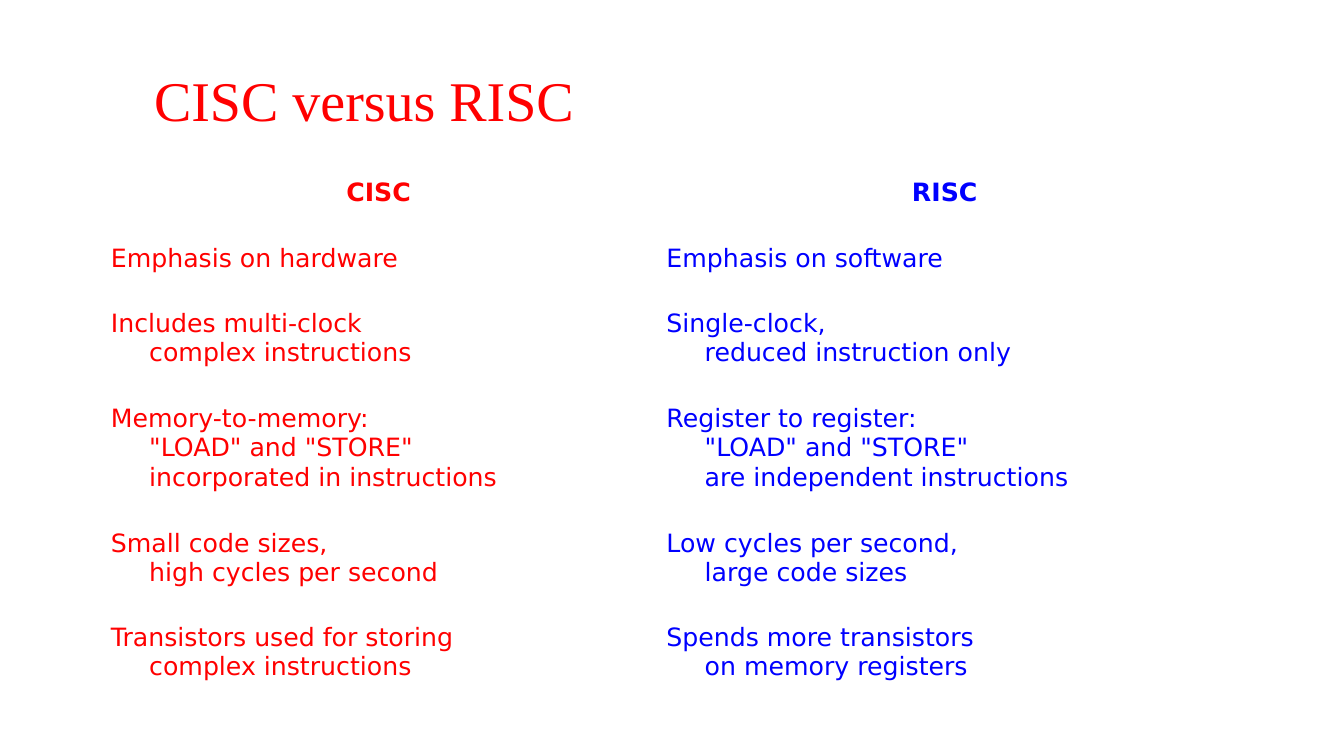
from pptx import Presentation
from pptx import util as u
from pptx.dml.color import RGBColor
from pptx.enum import text

COLORS = {"red": "FF0000", "blue": "0000FF"}
SIDES = ["red", "blue"]
WIDTHS = [5.51, 5.72]
HEIGHTS = [0.65, 0.65, 0.93, 1.25, 0.93, 0.94]
ROWS = [
    ("CISC", "RISC"),
    ("Emphasis on hardware", "Emphasis on software"),
    ("Includes multi-clock\ncomplex instructions",
     "Single-clock,\nreduced instruction only"),
    ('Memory-to-memory:\n"LOAD" and "STORE"\nincorporated in instructions',
     'Register to register:\n"LOAD" and "STORE"\nare independent instructions'),
    ("Small code sizes,\nhigh cycles per second",
     "Low cycles per second,\nlarge code sizes"),
    ("Transistors used for storing\ncomplex instructions",
     "Spends more transistors\non memory registers"),
]


def style(para, name, size, color, bold=False):
    """Set the font of a whole paragraph."""
    font = para.font
    font.name, font.size, font.bold = name, u.Pt(size), bold
    font.color.rgb = RGBColor.from_string(COLORS[color])


def add_title(slide, box, words):
    """Place the slide title in the given box."""
    frame = slide.shapes.add_textbox(*map(u.Inches, box)).text_frame
    frame.word_wrap = True
    frame.vertical_anchor = text.MSO_ANCHOR.MIDDLE
    para = frame.paragraphs[0]
    para.text = words
    para.line_spacing = 0.9
    style(para, "Times New Roman", 40, "red")


def fill_cell(cell, words, color, head):
    """Write one cell with a hanging indent."""
    cell.fill.background()
    cell.vertical_anchor = text.MSO_ANCHOR.MIDDLE
    para = cell.text_frame.paragraphs[0]
    para.text = words
    para.alignment = text.PP_ALIGN.CENTER if head else text.PP_ALIGN.LEFT
    props = para._p.get_or_add_pPr()
    props.set("marL", str(u.Inches(0.38)))
    props.set("indent", str(u.Inches(-0.38)))
    style(para, "DejaVu Sans", 18, color, head)


def add_grid(slide, box):
    """Place the two-column comparison table in the given box."""
    grid = slide.shapes.add_table(
        len(ROWS), len(SIDES), *map(u.Inches, box)).table
    grid.first_row = grid.horz_banding = False
    for col, width in zip(grid.columns, WIDTHS):
        col.width = u.Inches(width)
    for r, (height, row) in enumerate(zip(HEIGHTS, ROWS)):
        grid.rows[r].height = u.Inches(height)
        for c, (words, color) in enumerate(zip(row, SIDES)):
            fill_cell(grid.cell(r, c), words, color, r == 0)


def main():
    """Build and save the slide."""
    deck = Presentation()
    deck.slide_width, deck.slide_height = u.Inches(13.33), u.Inches(7.5)
    slide = deck.slides.add_slide(deck.slide_layouts[6])
    add_title(slide, (1.43, 0.28, 9.58, 1.5), "CISC versus RISC")
    add_grid(slide, (1, 1.59, sum(WIDTHS), sum(HEIGHTS)))
    deck.save("out.pptx")


if __name__ == "__main__":
    main()
